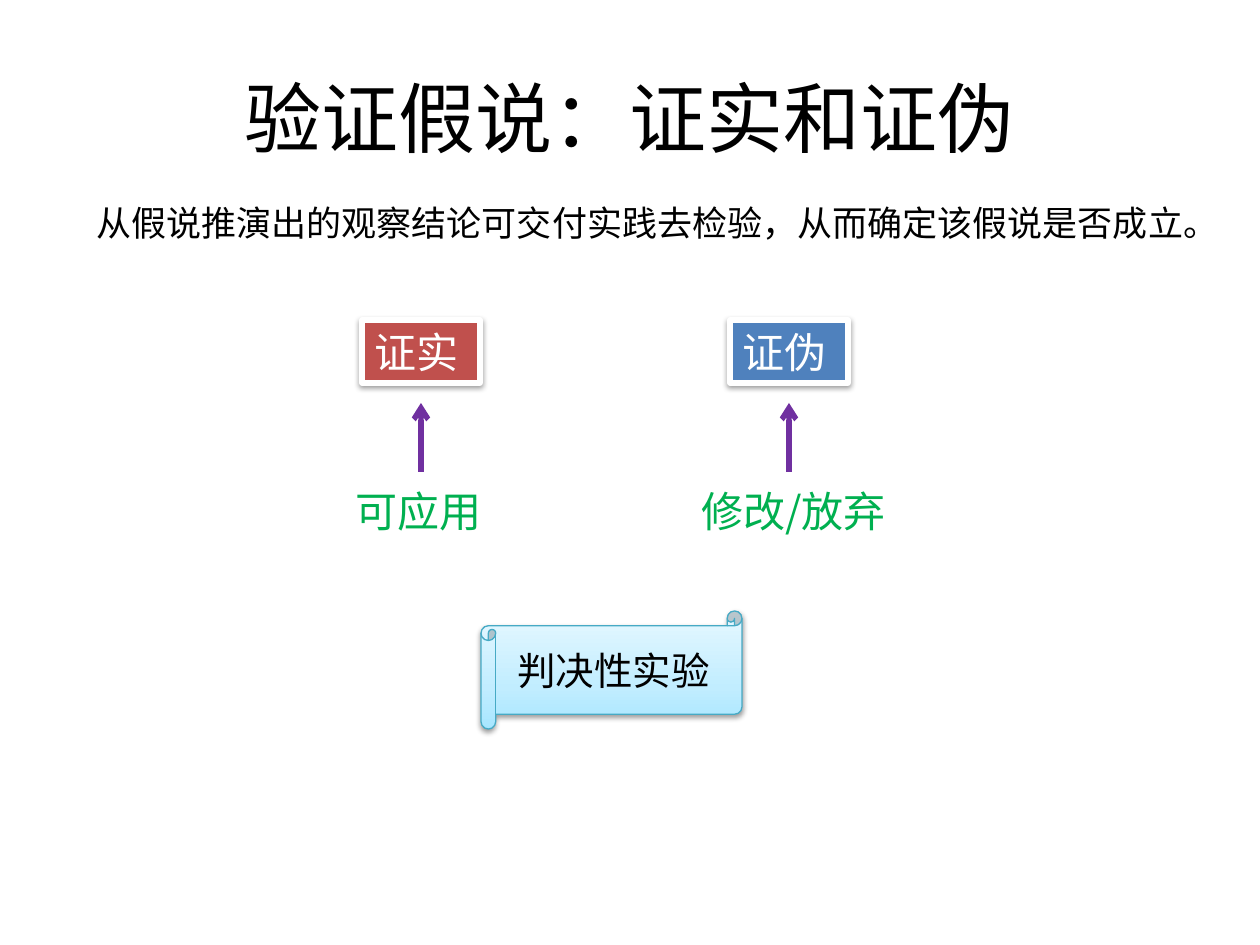
"""Build a slide on testing a hypothesis: confirmation, falsification and the crucial experiment."""
from copy import deepcopy
from dataclasses import dataclass

from lxml import etree
from pptx import Presentation
from pptx.dml.color import RGBColor
from pptx.enum.shapes import MSO_CONNECTOR, MSO_SHAPE
from pptx.enum.text import MSO_ANCHOR, PP_ALIGN
from pptx.oxml.ns import qn
from pptx.util import Pt

RECTANGLE, SCROLL = MSO_SHAPE.RECTANGLE, MSO_SHAPE.HORIZONTAL_SCROLL
STRAIGHT = MSO_CONNECTOR.STRAIGHT
LEFT, CENTER = PP_ALIGN.LEFT, PP_ALIGN.CENTER
TOP, MIDDLE = MSO_ANCHOR.TOP, MSO_ANCHOR.MIDDLE


@dataclass(frozen=True)
class Theme:
    title_font: str = "Noto Sans CJK JP"
    font: str = "Noto Sans CJK SC"
    ink: str = "000000"
    paper: str = "FFFFFF"
    arrow: str = "7030A0"
    action: str = "00B050"
    scroll_edge: str = "46AAC5"
    scroll_stops: tuple = ((0, "A7E6FF"), (0.35, "C1EDFF"), (1, "E7F8FF"))
    title_size: int = 44
    statement_size: int = 20
    outcome_size: int = 24
    experiment_size: int = 22


THEME = Theme()
TITLE = "验证假说：证实和证伪"
STATEMENT = "从假说推演出的观察结论可交付实践去检验，从而确定该假说是否成立。"
EXPERIMENT = "判决性实验"
OUTCOMES = [
    {"name": "证实", "fill": "C0504D", "action": "可应用", "action_left": 343, "action_width": 169},
    {"name": "证伪", "fill": "4F81BD", "action": "修改/放弃", "action_left": 689, "action_width": 238},
]
OUTCOME_LEFT, OUTCOME_STEP, OUTCOME_TOP = 362, 368, 320
OUTCOME_WIDTH, OUTCOME_HEIGHT = 118, 63
ARROW_TOP, ARROW_BOTTOM, ACTION_TOP = 403, 472, 479
EMU_PER_PX = 914400 / 126


def px(*lengths):
    return [round(length * EMU_PER_PX) for length in lengths]


def rgb(color):
    return RGBColor.from_string(color)


def write(shape, text, size, color, font=THEME.font, align=LEFT, anchor=TOP):
    frame = shape.text_frame
    frame.word_wrap = True
    frame.vertical_anchor = anchor
    frame.text = text
    paragraph = frame.paragraphs[0]
    paragraph.alignment = align
    paragraph.font.size = Pt(size)
    paragraph.font.color.rgb = rgb(color)
    paragraph.font.name = font
    defaults = paragraph._p.pPr.find(qn("a:defRPr"))
    etree.SubElement(defaults, qn("a:ea"), typeface=font)


def outline(shape, color, width):
    shape.line.color.rgb = rgb(color)
    shape.line.width = Pt(width)


def cast_shadow(shape):
    shape.shadow.inherit = False
    effects = shape._element.spPr.find(qn("a:effectLst"))
    shadow = etree.SubElement(effects, qn("a:outerShdw"), blurRad="40000",
                              dist="20000", dir="5400000", rotWithShape="0")
    black = etree.SubElement(shadow, qn("a:srgbClr"), val="000000")
    etree.SubElement(black, qn("a:alpha"), val="38000")


def fill_gradient(shape, stops, angle):
    shape.fill.gradient()
    shape.fill.gradient_angle = angle
    stop_list = shape._element.spPr.find(qn("a:gradFill")).find(qn("a:gsLst"))
    stop_list.insert(1, deepcopy(stop_list[0]))
    for stop, (position, color) in zip(shape.fill.gradient_stops, stops):
        stop.position = position
        stop.color.rgb = rgb(color)


def add_arrow(slide, x, start, end):
    arrow = slide.shapes.add_connector(STRAIGHT, *px(x, start, x, end))
    outline(arrow, THEME.arrow, 3)
    etree.SubElement(arrow.line._get_or_add_ln(), qn("a:tailEnd"), type="arrow")
    etree.SubElement(arrow._element.spPr, qn("a:effectLst"))


def add_outcome(slide, index, outcome):
    left = OUTCOME_LEFT + index * OUTCOME_STEP
    box = slide.shapes.add_shape(
        RECTANGLE, *px(left, OUTCOME_TOP, OUTCOME_WIDTH, OUTCOME_HEIGHT))
    box.fill.solid()
    box.fill.fore_color.rgb = rgb(outcome["fill"])
    outline(box, THEME.paper, 3)
    cast_shadow(box)
    write(box, outcome["name"], THEME.outcome_size, THEME.paper)
    add_arrow(slide, left + OUTCOME_WIDTH / 2, ARROW_BOTTOM, ARROW_TOP)
    action = slide.shapes.add_textbox(
        *px(outcome["action_left"], ACTION_TOP, outcome["action_width"], OUTCOME_HEIGHT))
    write(action, outcome["action"], THEME.outcome_size, THEME.action)


def add_experiment(slide):
    group = slide.shapes.add_group_shape()
    scroll = group.shapes.add_shape(SCROLL, *px(481, 611, 261, 118))
    fill_gradient(scroll, THEME.scroll_stops, 90)
    outline(scroll, THEME.scroll_edge, 0.75)
    cast_shadow(scroll)
    caption = group.shapes.add_textbox(*px(505, 641, 255, 59))
    write(caption, EXPERIMENT, THEME.experiment_size, THEME.ink)


def main():
    deck = Presentation()
    deck.slide_width, deck.slide_height = px(1260, 945)
    slide = deck.slides.add_slide(deck.slide_layouts.get_by_name("Title Only"))
    title = slide.shapes.title
    title.left, title.top, title.width, title.height = px(63, 38, 1134, 158)
    write(title, TITLE, THEME.title_size, THEME.ink, THEME.title_font, CENTER, MIDDLE)
    statement = slide.shapes.add_textbox(*px(84, 195, 1148, 55))
    write(statement, STATEMENT, THEME.statement_size, THEME.ink)
    for index, outcome in enumerate(OUTCOMES):
        add_outcome(slide, index, outcome)
    add_experiment(slide)
    deck.save("out.pptx")


if __name__ == "__main__":
    main()
